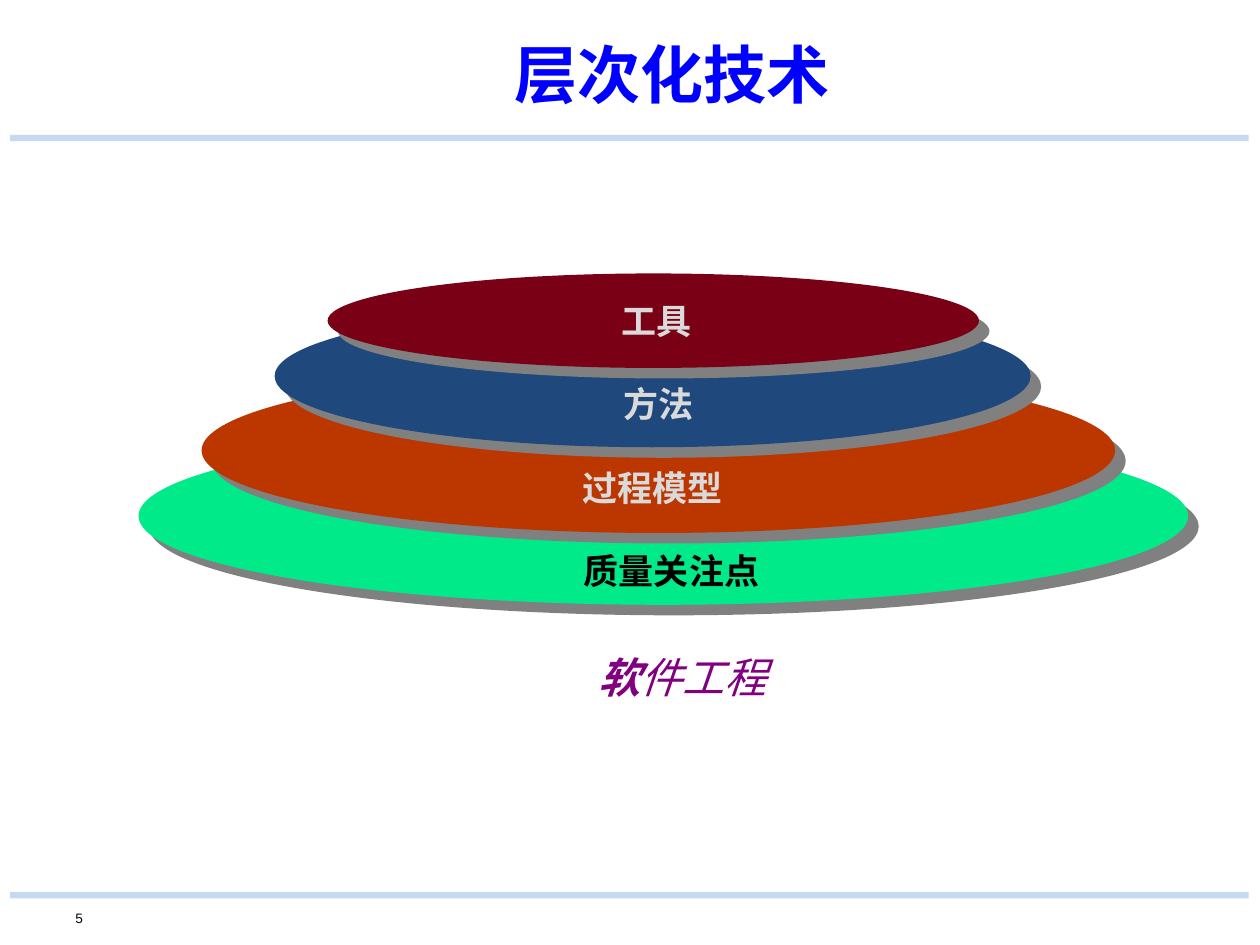
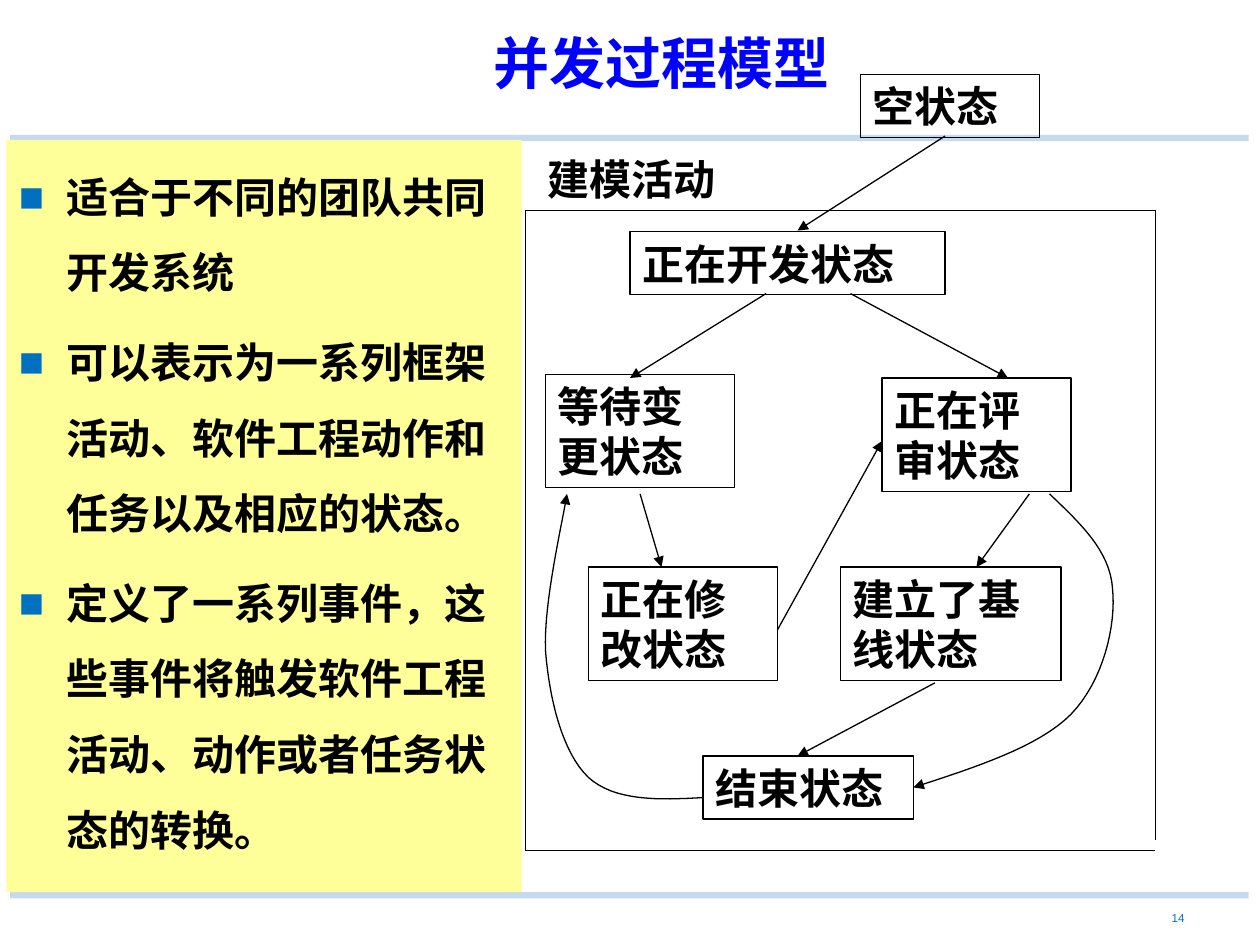
from dataclasses import dataclass

from lxml import etree
from pptx import Presentation
from pptx.dml.color import RGBColor
from pptx.enum import shapes as sh, text as tx
from pptx.oxml import ns
from pptx.util import Inches, Pt


@dataclass(frozen=True)
class Theme:
    band: str = "C6D9F1"
    title: str = "0000FF"
    ink: str = "000000"
    pale: str = "DADADA"
    shade: str = "808080"
    motto: str = "800080"
    panel: str = "FFFF99"
    mark: str = "0070C0"
    tiers: tuple = ("790015", "1F497D", "BC3700", "01EA89")
    head: str = "Calibri"
    serif: str = "Cambria"
    sans: str = "Arial"
    text: int = 24
    label: int = 20
    line: float = 0.75


T = Theme()
LEFT, MID, RIGHT = tx.PP_ALIGN.LEFT, tx.PP_ALIGN.CENTER, tx.PP_ALIGN.RIGHT
TOP, CORE = tx.MSO_ANCHOR.TOP, tx.MSO_ANCHOR.MIDDLE


def rgb(code):
    return RGBColor.from_string(code)


def sub(node, tag, **attrs):
    return etree.SubElement(node, ns.qn(tag), attrs)


def place(shape, box):
    shape.left, shape.top, shape.width, shape.height = map(Inches, box)


def style(para, face, size, color, bold=True, align=LEFT):
    para.alignment = align
    font = para.font
    font.name, font.size, font.bold = face, Pt(size), bold
    font.color.rgb = rgb(color)


def setup(shape, anchor=TOP, pad=(0.1, 0.05)):
    frame = shape.text_frame
    frame.word_wrap = True
    frame.auto_size = tx.MSO_AUTO_SIZE.NONE
    frame.vertical_anchor = anchor
    frame.margin_left = frame.margin_right = Inches(pad[0])
    frame.margin_top = frame.margin_bottom = Inches(pad[1])
    return frame


def write(shape, words, face, size, color, bold=True, align=LEFT, anchor=TOP, pad=(0.1, 0.05)):
    frame = setup(shape, anchor, pad)
    frame.text = words
    style(frame.paragraphs[0], face, size, color, bold, align)
    return frame.paragraphs[0]


def note(slide, box, words, *args, **opts):
    return write(slide.shapes.add_textbox(*map(Inches, box)), words, *args, **opts)


def solid(slide, kind, box, color):
    shape = slide.shapes.add_shape(kind, *map(Inches, box))
    shape.shadow.inherit = False
    shape.fill.solid()
    shape.fill.fore_color.rgb = rgb(color)
    shape.line.fill.background()
    return shape


def bands(slide):
    for y in (1.07, 7.08):
        band = solid(slide, sh.MSO_SHAPE.RECTANGLE, (0.08, y, 9.83, 0.05), T.band)
        slide.shapes.element.insert(2, band.element)


def title(slide, box, words, size, **opts):
    shape = slide.shapes.title
    place(shape, box)
    write(shape, words, T.head, size, T.title, align=MID, **opts)


def number(slide, box, words, size, color, align):
    para = note(slide, box, words, T.sans, size, color, False, align, CORE)
    para.line_spacing = 0.8


def stack(slide, box):
    x, y = box
    tiers = (
        (1.5, 0, 5.17, 0.75, "工具", 4.11),
        (1.08, 0.25, 6, 1.13, "方法", 4.13),
        (0.5, 0.75, 7.25, 1.31, "过程模型", 4.08),
        (0, 1.22, 8.33, 1.41, "质量关注点", 4.23),
    )
    for (left, top, wide, high, *_), color in reversed(list(zip(tiers, T.tiers))):
        tier = solid(slide, sh.MSO_SHAPE.OVAL, (x + left, y + top, wide, high), color)
        effects = tier.element.spPr.find(ns.qn("a:effectLst"))
        drop = sub(effects, "a:outerShdw", dist=str(Pt(8.5)), dir="2700000", algn="ctr", rotWithShape="0")
        sub(drop, "a:srgbClr", val=T.shade)
    for row, (*_, words, mid) in enumerate(tiers):
        color = T.ink if row == len(tiers) - 1 else T.pale
        spot = (x + mid - 1.33, y + 0.16 + 0.66 * row, 2.66, 0.43)
        note(slide, spot, words, T.serif, T.label, color, align=MID)


def motto(slide, box):
    para = note(slide, box, "", T.serif, T.text, T.motto, False, MID)
    para.line_spacing = 0.9
    para.font.italic = True
    lead = para.add_run()
    lead.text, lead.font.bold = "软", True
    para.add_run().text = "件工程"


def points(slide, box, items):
    body = slide.placeholders[1]
    place(body, box)
    body.fill.solid()
    body.fill.fore_color.rgb = rgb(T.panel)
    frame = setup(body)
    frame.text = "\n".join(items)
    for row, para in enumerate(frame.paragraphs):
        props = para._p.get_or_add_pPr()
        props.set("marL", str(Inches(0.38)))
        props.set("indent", str(Inches(-0.38)))
        sub(sub(props, "a:buClr"), "a:srgbClr", val=T.mark)
        sub(props, "a:buFont", typeface=T.sans)
        sub(props, "a:buChar", char="■")
        para.line_spacing = 1.5
        para.space_before = Pt(4 if row else 0)
        para.space_after = Pt(4)
        style(para, T.head, T.text, T.ink)


def pen(shape, arrow):
    shape.line.color.rgb = rgb(T.ink)
    shape.line.width = Pt(T.line)
    if arrow:
        sub(shape.line._get_or_add_ln(), "a:tailEnd", type="triangle")


def rule(slide, start, end, arrow=False):
    line = slide.shapes.add_connector(sh.MSO_CONNECTOR.STRAIGHT, *map(Inches, start + end))
    pen(line, arrow)
    sub(line.element.spPr, "a:effectLst")


def bezier(knots, steps=16):
    for k in range(0, len(knots) - 1, 3):
        a, b, c, d = knots[k:k + 4]
        for n in range(1, steps + 1):
            t = n / steps
            s = 1 - t
            yield tuple(
                Inches(s**3 * p + 3 * s * s * t * q + 3 * s * t * t * r + t**3 * v)
                for p, q, r, v in zip(a, b, c, d)
            )


def curve(slide, knots):
    build = slide.shapes.build_freeform(*map(Inches, knots[0]))
    build.add_line_segments(list(bezier(knots)), close=False)
    shape = build.convert_to_shape()
    shape.shadow.inherit = False
    shape.fill.background()
    pen(shape, True)


def states(slide, box):
    x, y, wide, high = box

    def at(px, py):
        return x + px, y + py

    for a, b in (
        ((0, 0), (0, high)),
        ((0, 0), (wide, 0)),
        ((wide, 0), (wide, high - 0.08)),
        ((0, high), (wide, high)),
    ):
        rule(slide, at(*a), at(*b))
    note(slide, (*at(0.08, -0.5), 1.67, 0.5), "建模活动", T.sans, T.text, T.ink)

    for left, top, w, h, words in (
        (2.66, -1.08, 1.42, 0.5, "空状态"),
        (0.83, 0.17, 2.5, 0.5, "正在开发状态"),
        (0.16, 1.3, 1.5, 0.9, "等待变更状态"),
        (2.83, 1.33, 1.5, 0.9, "正在评审状态"),
        (0.5, 2.83, 1.5, 0.9, "正在修改状态"),
        (2.5, 2.83, 1.75, 0.9, "建立了基线状态"),
        (1.41, 4.33, 1.67, 0.5, "结束状态"),
    ):
        spot = map(Inches, (*at(left, top), w, h))
        state = slide.shapes.add_shape(sh.MSO_SHAPE.RECTANGLE, *spot)
        state.shadow.inherit = False
        state.fill.background()
        pen(state, False)
        write(state, words, T.sans, T.text, T.ink, anchor=CORE)

    for a, b in (
        ((3.33, -0.59), (2.16, 0.16)),
        ((1.91, 0.66), (0.83, 1.33)),
        ((2.58, 0.66), (3.83, 1.33)),
        ((0.91, 2.25), (1.08, 2.83)),
        ((2, 3.33), (2.83, 1.83)),
        ((4, 2.25), (3.58, 2.83)),
        ((3.25, 3.75), (2.16, 4.33)),
    ):
        rule(slide, at(*a), at(*b), True)

    for knots in (
        ((4.16, 2.25), (4.4, 2.48), (4.64, 2.7), (4.66, 3), (4.69, 3.29),
         (4.59, 3.73), (4.33, 4), (4.07, 4.26), (3.57, 4.42), (3.08, 4.58)),
        ((1.41, 4.66), (1.06, 4.68), (0.71, 4.69), (0.5, 4.5), (0.29, 4.3),
         (0.19, 3.87), (0.16, 3.5), (0.14, 3.12), (0.3, 2.45), (0.33, 2.25)),
    ):
        curve(slide, [at(*knot) for knot in knots])


def layers(deck):
    slide = deck.slides.add_slide(deck.slide_layouts[5])
    bands(slide)
    title(slide, (2.65, 0.25, 5.37, 0.66), "层次化技术", 36, pad=(0.07, 0.03))
    stack(slide, (1.1, 2.17))
    motto(slide, (3.75, 5.17, 3.33, 0.46))
    number(slide, (0.5, 7.17, 2.33, 0.25), "5", 7.8, T.ink, LEFT)


def model(deck):
    slide = deck.slides.add_slide(deck.slide_layouts[1])
    bands(slide)
    title(slide, (2.5, 0.08, 5.5, 0.83), "并发过程模型", 32, anchor=CORE)
    points(slide, (0.05, 1.11, 4.09, 5.97), (
        "适合于不同的团队共同开发系统",
        "可以表示为一系列框架活动、软件工程动作和任务以及相应的状态。",
        "定义了一系列事件，这些事件将触发软件工程活动、动作或者任务状态的转换。",
    ))
    states(slide, (4.17, 1.67, 5, 5.08))
    number(slide, (7.17, 7.18, 2.33, 0.23), "14", 6.6, T.mark, RIGHT)


def main():
    deck = Presentation()
    deck.slide_width, deck.slide_height = Inches(10), Inches(7.5)
    layers(deck)
    model(deck)
    deck.save("out.pptx")


if __name__ == "__main__":
    main()
